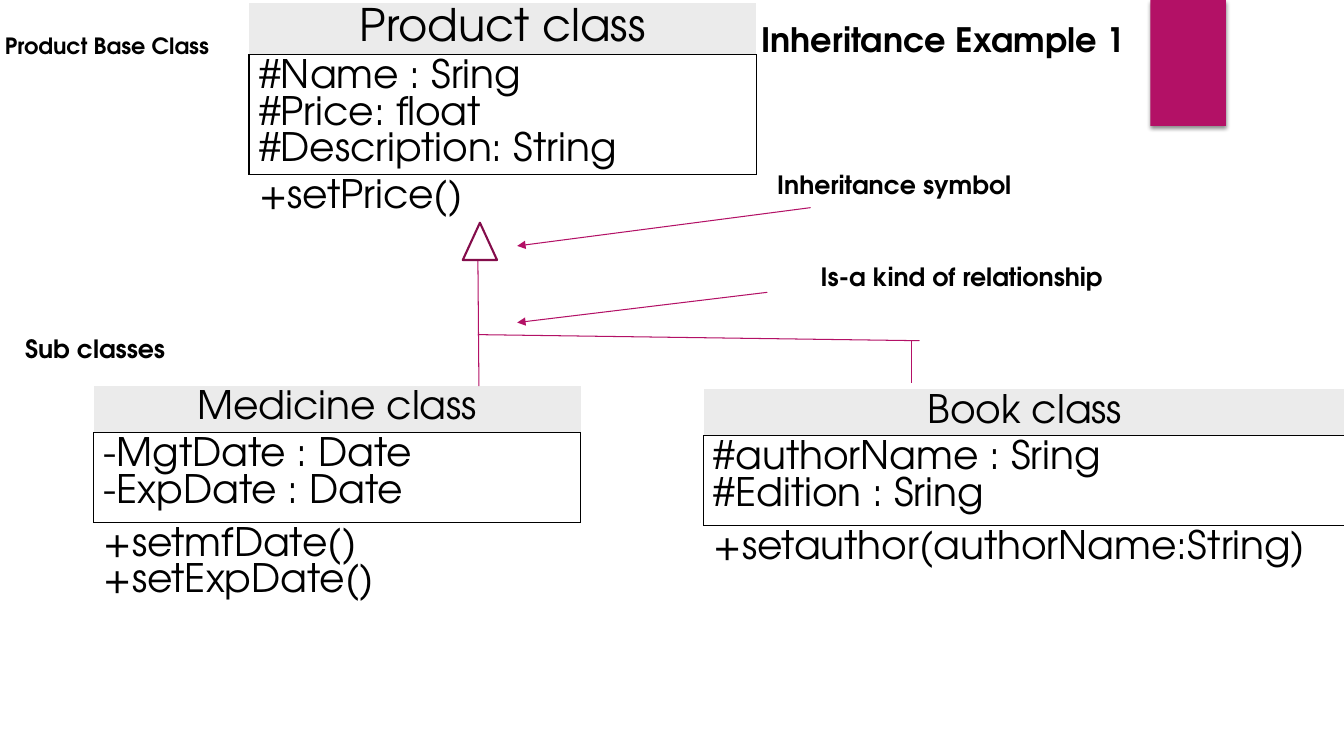
from dataclasses import dataclass

from lxml import etree
from pptx import Presentation
from pptx.dml.color import RGBColor
from pptx.enum.shapes import MSO_CONNECTOR, MSO_SHAPE
from pptx.enum.text import PP_ALIGN
from pptx.oxml import parse_xml
from pptx.oxml.ns import qn
from pptx.util import Inches, Pt

LEFT, CENTER = PP_ALIGN.LEFT, PP_ALIGN.CENTER
RECTANGLE, EXTRACT = MSO_SHAPE.RECTANGLE, MSO_SHAPE.FLOWCHART_EXTRACT
STRAIGHT = MSO_CONNECTOR.STRAIGHT
A_NS = "http://schemas.openxmlformats.org/drawingml/2006/main"


@dataclass(frozen=True)
class Theme:
    font: str = "TeX Gyre Adventor"
    ink: str = "000000"
    paper: str = "FFFFFF"
    accent: str = "B31166"
    accent_dark: str = "840D4B"
    header: str = "EBEBEB"
    title: int = 24
    base_name: int = 32
    member: int = 28
    label: int = 18
    note: int = 16


THEME = Theme()
WIDTH, HEIGHT = 13.33, 7.5
LINE_HEIGHT, CELL_PADDING = 0.36, 0.1
MIN_FIELDS = 0.89

# name, name size, fields, methods, (left, top, width, height)
CLASSES = [
    ("Product class", THEME.base_name,
     ["#Name : Sring", "#Price: float", "#Description: String"],
     ["+setPrice()"], (2.47, 0.03, 5.03, 3.17)),
    ("Medicine class", THEME.member,
     ["-MgtDate : Date", "-ExpDate : Date"],
     ["+setmfDate()", "+setExpDate()"], (0.93, 3.83, 4.83, 3.1)),
    ("Book class", THEME.member,
     ["#authorName : Sring", "#Edition : Sring"],
     ["+setauthor(authorName:String)"], (6.98, 3.86, 6.37, 2.63)),
]

# text, size, (left, top, width, height), space above the text
LABELS = [
    ("Product Base Class", THEME.note, (-0.05, 0, 12.03, 5.99), 0.32),
    ("Sub classes", THEME.label, (0.15, 3.26, 1.67, 0.4), 0.05),
    ("Inheritance symbol", THEME.label, (7.61, 1.63, 2.55, 0.4), 0.05),
    ("Is-a kind of relationship", THEME.label, (8.04, 2.54, 3.03, 0.4), 0.05),
    ("Inheritance Example 1", THEME.title, (7.45, 0.14, 3.86, 0.5), 0.05),
]

ACCENT_BAR = (11.41, 0, 0.75, 1.25)
INHERITANCE_SYMBOL = (4.59, 2.21, 0.34, 0.37)

# start, end
BRANCHES = [
    ((4.74, 2.57), (4.75, 3.83)),
    ((4.74, 3.32), (9.12, 3.38)),
    ((9.04, 3.38), (9.04, 3.8)),
]
POINTERS = [
    ((8.04, 2.06), (5.13, 2.44)),
    ((7.61, 2.9), (5.13, 3.2)),
]


def inches(values):
    return [Inches(value) for value in values]


def color(code):
    return RGBColor.from_string(code)


def write(frame, lines, size, bold=False, align=LEFT):
    for index, line in enumerate(lines):
        paragraph = frame.paragraphs[0] if index == 0 else frame.add_paragraph()
        paragraph.alignment = align
        run = paragraph.add_run()
        run.text = line
        run.font.name = THEME.font
        run.font.size = Pt(size)
        run.font.bold = bold
        run.font.color.rgb = color(THEME.ink)


def set_borders(cell, visible):
    """Rule the sides named in visible (from L, R, T, B) and clear the rest."""
    properties = cell._tc.get_or_add_tcPr()
    for index, side in enumerate("LRTB"):
        fill = (f'<a:solidFill><a:srgbClr val="{THEME.ink}"/></a:solidFill>'
                if side in visible else "<a:noFill/>")
        properties.insert(index, parse_xml(
            f'<a:ln{side} xmlns:a="{A_NS}" w="{Pt(1)}">{fill}</a:ln{side}>'))


def add_class(slide, name, name_size, fields, methods, box):
    name_height = LINE_HEIGHT * name_size / THEME.member + CELL_PADDING
    fields_height = max(MIN_FIELDS, len(fields) * LINE_HEIGHT + CELL_PADDING)
    heights = [name_height, fields_height, box[3] - name_height - fields_height]
    table = slide.shapes.add_table(3, 1, *inches(box)).table
    table.first_row = table.horz_banding = False
    sections = [([name], name_size, CENTER, "B"),
                (fields, THEME.member, LEFT, "LRTB"),
                (methods, THEME.member, LEFT, "T")]
    for row, (lines, size, align, sides) in enumerate(sections):
        table.rows[row].height = Inches(heights[row])
        cell = table.cell(row, 0)
        write(cell.text_frame, lines, size, align=align)
        cell.fill.background()
        set_borders(cell, sides)
    name_fill = table.cell(0, 0).fill
    name_fill.solid()
    name_fill.fore_color.rgb = color(THEME.header)


def add_label(slide, text, size, box, space_above):
    frame = slide.shapes.add_textbox(*inches(box)).text_frame
    frame.margin_top = Inches(space_above)
    frame.word_wrap = False
    write(frame, [text], size, bold=True)


def add_block(slide, kind, box, fill, line=None):
    block = slide.shapes.add_shape(kind, *inches(box))
    block.shadow.inherit = False
    block.fill.solid()
    block.fill.fore_color.rgb = color(fill)
    if line:
        block.line.color.rgb = color(line)
        block.line.width = Pt(1.5)
    else:
        block.line.fill.background()
    return block


def add_line(slide, start, end, arrow=False):
    line = slide.shapes.add_connector(STRAIGHT, *inches(start + end))
    line.line.color.rgb = color(THEME.accent)
    line.line.width = Pt(0.75)
    if arrow:
        etree.SubElement(line.line._get_or_add_ln(), qn("a:tailEnd"), type="triangle")
    etree.SubElement(line._element.spPr, qn("a:effectLst"))


def add_soft_shadow(block):
    effects = block._element.spPr.find(qn("a:effectLst"))
    effects.append(parse_xml(
        f'<a:outerShdw xmlns:a="{A_NS}" blurRad="{Pt(3)}" dist="{Pt(2)}" dir="5400000">'
        f'<a:srgbClr val="{THEME.ink}"><a:alpha val="45000"/></a:srgbClr></a:outerShdw>'))


def main():
    deck = Presentation()
    deck.slide_width, deck.slide_height = inches((WIDTH, HEIGHT))
    slide = deck.slides.add_slide(deck.slide_layouts[6])
    add_soft_shadow(add_block(slide, RECTANGLE, ACCENT_BAR, THEME.accent))
    for entry in CLASSES:
        add_class(slide, *entry)
    for start, end in BRANCHES:
        add_line(slide, start, end)
    add_block(slide, EXTRACT, INHERITANCE_SYMBOL, THEME.paper, THEME.accent_dark)
    for label in LABELS:
        add_label(slide, *label)
    for start, end in POINTERS:
        add_line(slide, start, end, arrow=True)
    deck.save("out.pptx")


if __name__ == "__main__":
    main()
